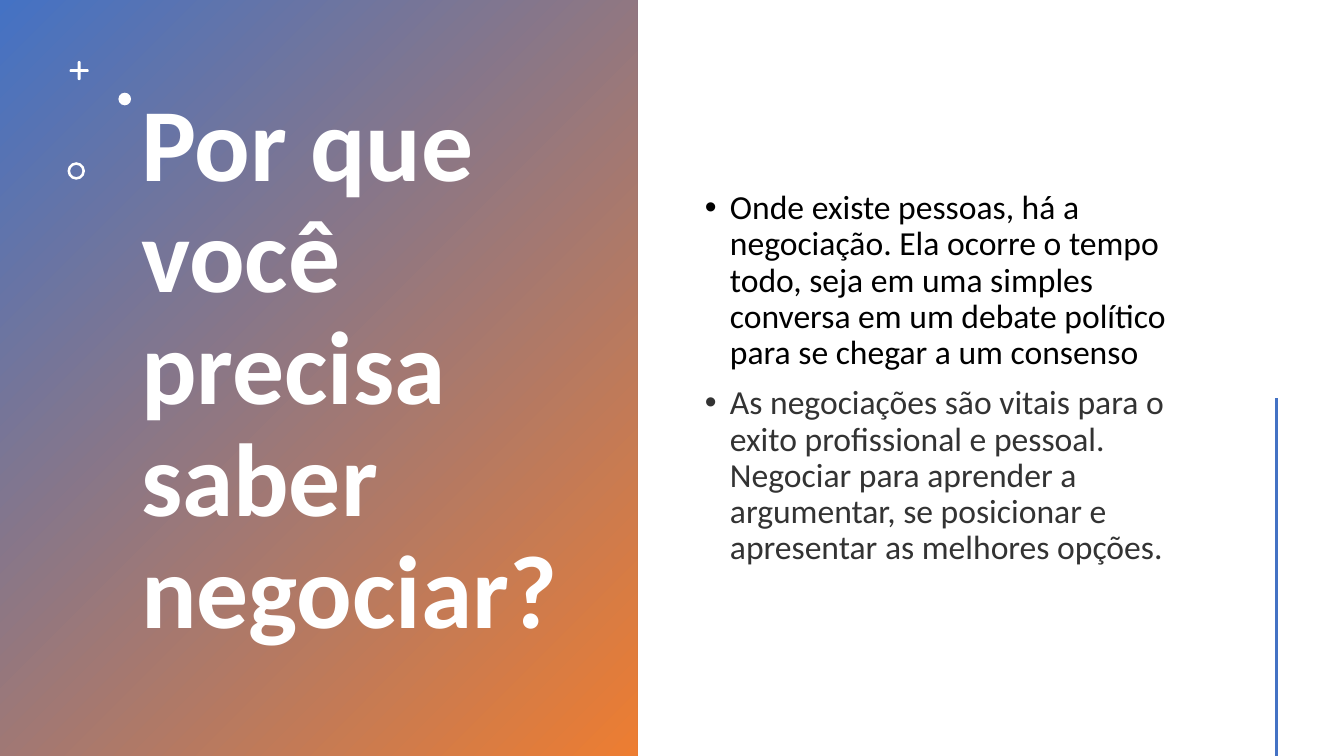
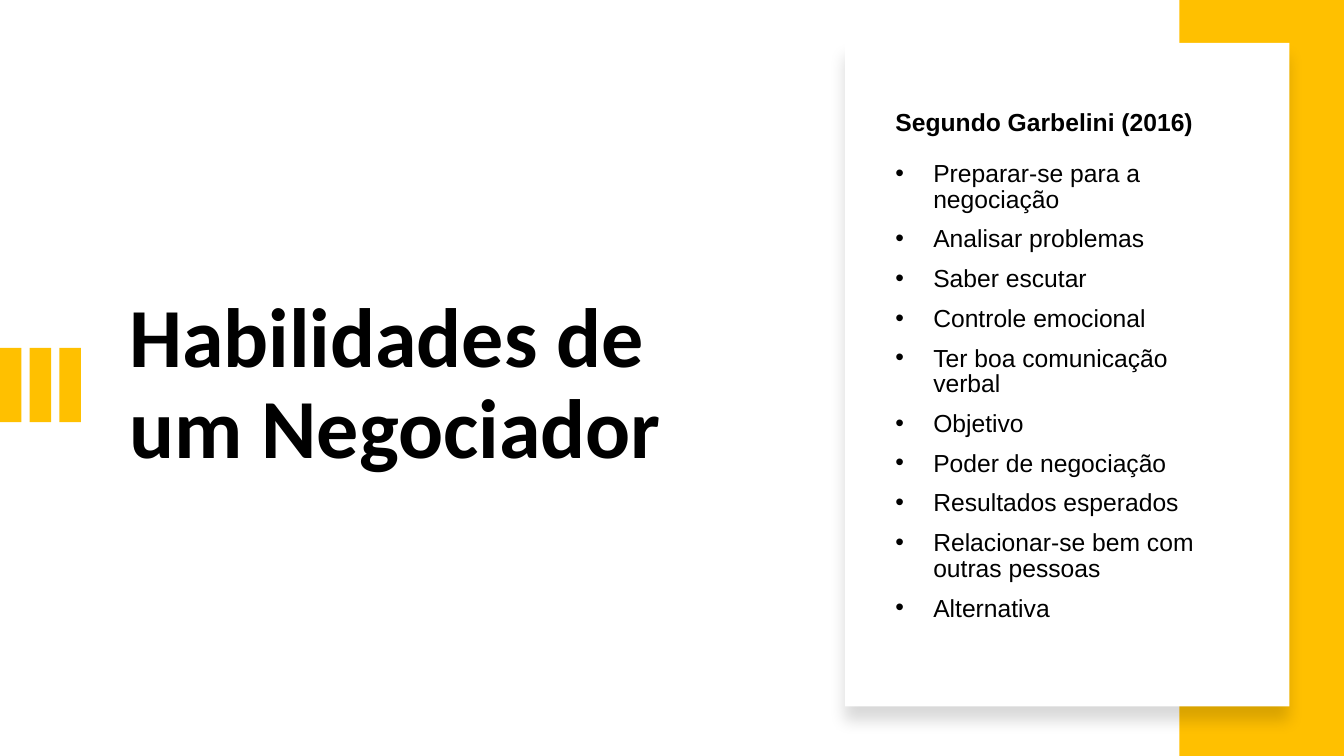
import math

import pptx
import pptx.dml.color
import pptx.enum.shapes
import pptx.enum.text
import pptx.oxml
import pptx.oxml.ns
import pptx.util

SHAPE = pptx.enum.shapes.MSO_SHAPE
ANCHOR = pptx.enum.text.MSO_ANCHOR
NSDECLS = pptx.oxml.ns.nsdecls("a")

COLUMNS, ROWS = 160, 90
CELL = pptx.util.Inches(1) // 12
COLORS = {
    "blue": "4472C4",
    "orange": "ED7D31",
    "yellow": "FFC000",
    "white": "FFFFFF",
    "black": "000000",
    "gray": "333333",
}


def cells(n):
    return pptx.util.Emu(round(n * CELL))


def rgb(name):
    return pptx.dml.color.RGBColor.from_string(COLORS[name])


class Deck:
    """Shared style and the slide being filled; lengths are grid cells."""

    def __init__(self):
        self.prs = pptx.Presentation()
        self.prs.slide_width = cells(COLUMNS)
        self.prs.slide_height = cells(ROWS)
        self.s = None

    def add_slide(self):
        self.s = self.prs.slides.add_slide(self.prs.slide_layouts[1])

    def paint(self, sp, color):
        sp.shadow.inherit = False
        sp.fill.solid()
        sp.fill.fore_color.rgb = rgb(color)
        sp.line.fill.background()
        return sp

    def shape(self, kind, x, y, w, h, color):
        sp = self.s.shapes.add_shape(kind, cells(x), cells(y), cells(w), cells(h))
        return self.paint(sp, color)

    def rect(self, x, y, w, h, color):
        return self.shape(SHAPE.RECTANGLE, x, y, w, h, color)

    def gradient(self, sp, start, end):
        sp.fill.gradient()
        sp.fill.gradient_angle = 315
        for stop, color in zip(sp.fill.gradient_stops, (start, end)):
            stop.color.rgb = rgb(color)

    def card(self, x, y, w, h):
        """White rectangle with a soft shadow below it."""
        sp = self.rect(x, y, w, h, "white")
        effects = sp.element.spPr.find(pptx.oxml.ns.qn("a:effectLst"))
        effects.append(pptx.oxml.parse_xml(
            f'<a:outerShdw {NSDECLS} blurRad="{pptx.util.Pt(11)}" '
            f'dist="{pptx.util.Pt(10)}" dir="5400000" algn="t" rotWithShape="0">'
            f'<a:srgbClr val="{COLORS["black"]}"><a:alpha val="15000"/></a:srgbClr>'
            '</a:outerShdw>'))

    def plus(self, cx, cy, reach, half, color):
        """Cross with round arm ends, centred at (cx, cy)."""
        points = []
        for arm in range(4):
            turn = arm * math.pi / 2
            outline = [(reach - half + half * math.cos(a), half * math.sin(a))
                       for a in (math.radians(d) for d in range(-90, 91, 15))]
            for x, y in outline + [(half, half)]:
                points.append((cells(cx + x * math.cos(turn) - y * math.sin(turn)),
                               cells(cy + x * math.sin(turn) + y * math.cos(turn))))
        builder = self.s.shapes.build_freeform(*points[0])
        builder.add_line_segments(points[1:], close=True)
        self.paint(builder.convert_to_shape(), color)

    def line(self, x1, y1, x2, y2, color, width):
        c = self.s.shapes.add_connector(
            pptx.enum.shapes.MSO_CONNECTOR.STRAIGHT,
            cells(x1), cells(y1), cells(x2), cells(y2))
        c.line.color.rgb = rgb(color)
        c.line.width = pptx.util.Pt(width)
        c.element.spPr.append(pptx.oxml.parse_xml(f"<a:effectLst {NSDECLS}/>"))

    def place(self, sp, x, y, w, h, anchor):
        """Move a placeholder to the front and return its text frame."""
        sp.element.getparent().append(sp.element)
        sp.left, sp.top, sp.width, sp.height = map(cells, (x, y, w, h))
        tf = sp.text_frame
        tf.word_wrap = True
        tf.auto_size = pptx.enum.text.MSO_AUTO_SIZE.NONE
        tf.vertical_anchor = anchor
        return tf

    def run(self, p, text, font, size, color, bold=False):
        r = p.add_run()
        r.text = text
        r.font.name = font
        r.font.size = pptx.util.Pt(size)
        r.font.bold = bold
        r.font.color.rgb = rgb(color)

    def title(self, text, x, y, w, h, size, color):
        p = self.place(self.s.shapes.title, x, y, w, h, ANCHOR.MIDDLE).paragraphs[0]
        p.alignment = pptx.enum.text.PP_ALIGN.LEFT
        p.line_spacing = 0.9
        self.run(p, text, "Calibri", size, color, bold=True)

    def body(self, items, x, y, w, h, font, size, spacing, indent,
             heading=None, anchor=ANCHOR.MIDDLE):
        """Bulleted (text, color) items under an optional bold heading."""
        tf = self.place(self.s.placeholders[1], x, y, w, h, anchor)
        rows = [(text, color, False) for text, color in items]
        if heading:
            rows.insert(0, (heading, "black", True))
        for i, (text, color, is_heading) in enumerate(rows):
            p = tf.add_paragraph() if i else tf.paragraphs[0]
            p.line_spacing = spacing
            p.space_before = pptx.util.Pt(0 if is_heading else 10)
            p.space_after = pptx.util.Pt(8 if is_heading else 0)
            margin = 0 if is_heading else cells(indent)
            pPr = p._p.get_or_add_pPr()
            pPr.set("marL", str(margin))
            pPr.set("indent", str(-margin))
            bullet = "<a:buNone {}/>" if is_heading else '<a:buChar {} char="•"/>'
            pPr.append(pptx.oxml.parse_xml(bullet.format(NSDECLS)))
            self.run(p, text, font, size, color, bold=is_heading)


def why_negotiate(deck):
    deck.add_slide()
    panel = deck.rect(0, 0, 75.9, ROWS, "white")
    deck.gradient(panel, "blue", "orange")
    deck.title("Por que você precisa saber negociar?",
               15.6, 5, 52.5, 78.4, 74, "white")
    deck.plus(9.42, 8.4, 1.14, 0.17, "white")
    deck.shape(SHAPE.OVAL, 14.1, 11.04, 1.5, 1.5, "white")
    ring = deck.shape(SHAPE.DONUT, 8.04, 19.32, 2.08, 2.08, "white")
    ring.adjustments[0] = 0.15
    deck.body([
        ("Onde existe pessoas, há a negociação. Ela ocorre o tempo todo, seja em "
         "uma simples conversa em um debate político para se chegar a um consenso",
         "black"),
        ("As negociações são vitais para o exito profissional e pessoal. Negociar "
         "para aprender a argumentar, se posicionar e apresentar as melhores opções.",
         "gray"),
    ], 82.7, 6.8, 62.6, 76.6, "Calibri", 24, 0.9, indent=3)
    deck.line(152, 47.4, 152, ROWS, "blue", 2)


def negotiator_skills(deck):
    deck.add_slide()
    deck.title("Habilidades de um Negociador", 14.2, 15, 79.2, 61.8, 60, "black")
    for i in range(3):
        deck.rect(3.54 * i, 41.4, 2.55, 8.85, "yellow")
    deck.rect(140.4, 0, COLUMNS - 140.4, ROWS, "yellow")
    deck.card(100.6, 5.1, 52.9, 79)
    skills = [
        "Preparar-se para a negociação",
        "Analisar problemas",
        "Saber escutar",
        "Controle emocional",
        "Ter boa comunicação verbal",
        "Objetivo",
        "Poder de negociação",
        "Resultados esperados",
        "Relacionar-se bem com outras pessoas",
        "Alternativa",
    ]
    deck.body([(skill, "black") for skill in skills],
              105.4, 12.6, 43.3, 64.9, "Arial", 17.6, 0.87, indent=4.5,
              heading="Segundo Garbelini (2016)", anchor=ANCHOR.TOP)


def main():
    deck = Deck()
    why_negotiate(deck)
    negotiator_skills(deck)
    deck.prs.save("out.pptx")


if __name__ == "__main__":
    main()
